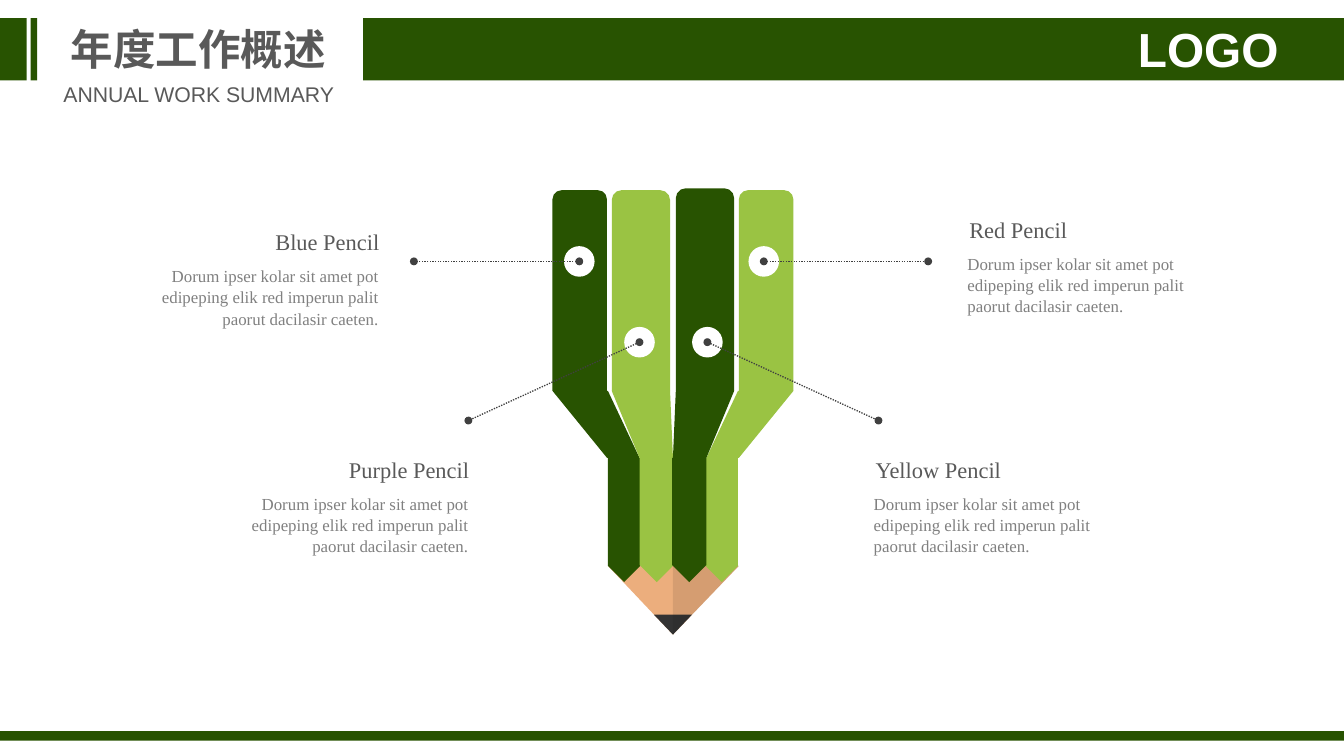
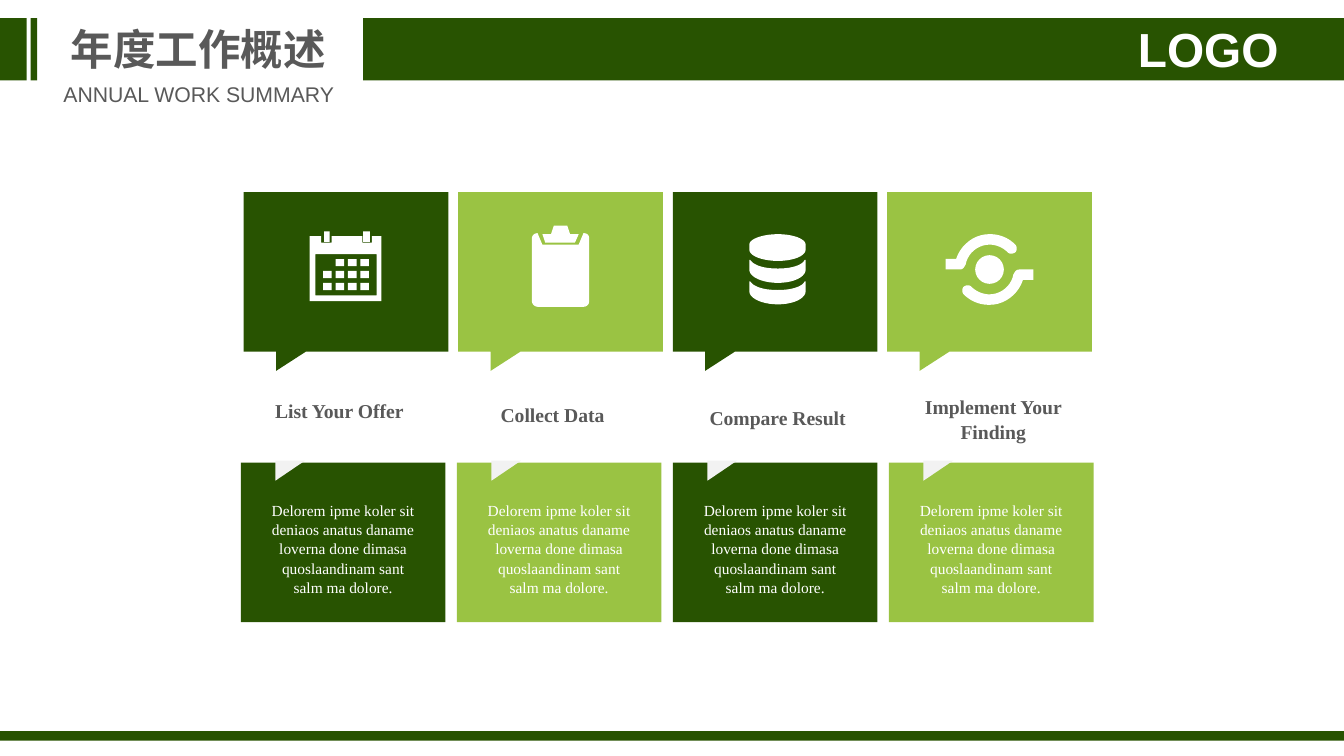
from collections.abc import Callable
from dataclasses import dataclass

from pptx import Presentation
from pptx.dml.color import RGBColor
from pptx.enum.dml import MSO_LINE
from pptx.enum.shapes import MSO_CONNECTOR, MSO_SHAPE as SHAPE
from pptx.enum.text import MSO_ANCHOR as ANCHOR, MSO_AUTO_SIZE, PP_ALIGN as ALIGN
from pptx.oxml.ns import qn
from pptx.slide import Slide
from pptx.util import Emu, Inches, Pt
from lxml.etree import SubElement

# The grid: every position and length below is a number of cells.
CELL = Inches(0.1)
COLS, ROWS = 140.6, 79.1
COLORS = {
    "dark": "285301", "light": "9AC343", "white": "FFFFFF", "notch": "F2F2F2",
    "heading": "595959", "body": "808080", "line": "404040",
    "wood": "ECAE7D", "lead": "333333", "shade": "0D0D0D",
}
SANS, SERIF = "Arial", "Times New Roman"
INSET = (1, 0.5)

Path = list[tuple[float, ...]]  # 2 numbers: a line to a point; 6: a Bezier curve


@dataclass(frozen=True)
class Style:
    size: float
    color: str
    font: str = SERIF
    bold: bool = False
    spacing: float = 1.0


TITLE = Style(32, "heading", SANS, True)
SUBTITLE = Style(16, "heading", SANS)
LOGO = Style(36, "white", SANS, True)
PENCIL_HEAD = Style(16.9, "heading")
PENCIL_BODY = Style(12.7, "body", spacing=1.05)
STEP_HEAD = Style(14.8, "heading", bold=True, spacing=1.05)
STEP_BODY = Style(11.6, "white", spacing=1.05)


def cells(n: float) -> Emu:
    return Emu(round(n * CELL))


def rgb(name: str) -> RGBColor:
    return RGBColor.from_string(COLORS[name])


def paint(shape, color: str) -> None:
    shape.shadow.inherit = False
    shape.fill.solid()
    shape.fill.fore_color.rgb = rgb(color)
    shape.line.fill.background()


def block(s: Slide, kind: SHAPE, box: tuple[float, ...], color: str):
    shape = s.shapes.add_shape(kind, *map(cells, box))
    paint(shape, color)
    return shape


def write(shape, lines: list[str], style: Style, align=ALIGN.CENTER,
          anchor=ANCHOR.TOP, inset=INSET, wrap: bool = True) -> None:
    tf = shape.text_frame
    tf.auto_size = MSO_AUTO_SIZE.NONE
    tf.word_wrap = wrap
    tf.vertical_anchor = anchor
    tf.margin_left = tf.margin_right = cells(inset[0])
    tf.margin_top = tf.margin_bottom = cells(inset[1])
    for i, line in enumerate(lines):
        p = tf.paragraphs[0] if i == 0 else tf.add_paragraph()
        p.text = line
        p.alignment = align
        p.line_spacing = style.spacing
        p.font.name, p.font.size, p.font.bold = style.font, Pt(style.size), style.bold
        p.font.color.rgb = rgb(style.color)


def label(s: Slide, box: tuple[float, ...], lines: list[str], style: Style, **layout) -> None:
    write(s.shapes.add_textbox(*map(cells, box)), lines, style, **layout)


def flatten(path: Path, pieces: int = 10) -> list[tuple[float, float]]:
    """Turn the curves of a path into short straight pieces."""
    points = [path[0]]
    for step in path[1:]:
        if len(step) == 2:
            points.append(step)
            continue
        knots = [points[-1], step[:2], step[2:4], step[4:]]
        for i in range(1, pieces + 1):
            t = i / pieces
            weights = ((1 - t) ** 3, 3 * t * (1 - t) ** 2, 3 * t * t * (1 - t), t ** 3)
            points.append(tuple(sum(w * k[axis] for w, k in zip(weights, knots))
                                for axis in (0, 1)))
    return points


def outline(s: Slide, paths: list[Path], color: str, left: float = 0, top: float = 0):
    """Draw closed paths, measured from (left, top), as one filled shape."""
    contours = [[(cells(left + x), cells(top + y)) for x, y in flatten(path)]
                for path in paths]
    builder = s.shapes.build_freeform(*contours[0][0], scale=1.0)
    for i, (start, *rest) in enumerate(contours):
        if i:
            builder.move_to(*start)
        builder.add_line_segments(rest, close=True)
    shape = builder.convert_to_shape()
    paint(shape, color)
    return shape


def new_slide(prs) -> Slide:
    """Add a slide with the bands, title, subtitle and logo that all slides share."""
    s = prs.slides.add_slide(prs.slide_layouts[5])
    for box in ((38, 1.9, COLS - 38, 6.5), (0, 1.9, 2.8, 6.5),
                (3.2, 1.9, 0.7, 6.5), (0, 76.5, COLS, 1)):
        block(s, SHAPE.RECTANGLE, box, "dark")
    title = s.shapes.title
    title.left, title.top, title.width, title.height = map(cells, (6.3, 1.9, 28.9, 6.4))
    write(title, ["年度工作概述"], TITLE, wrap=False)
    label(s, (116, 2.1, 20.8, 6.1), ["LOGO"], LOGO, inset=(0, 0))
    label(s, (5.5, 8, 30.6, 3.7), ["ANNUAL WORK SUMMARY"], SUBTITLE, wrap=False)
    return s


# Pencil slide

AXIS = 70.4
NECK_TOP, NECK_END, STEM_LENGTH = 40.9, 47.9, 13
PENCIL_TEXT = ("Dorum ipser kolar sit amet pot edipeping elik red imperun palit "
               "paorut dacilasir caeten.")


@dataclass(frozen=True)
class Strip:
    """One strip of the pencil's left half; the right half mirrors it."""
    left: float
    width: float
    stem_center: float
    stem_width: float
    neck: tuple[float, float, float, float]
    colors: tuple[str, str]
    tops: tuple[float, float]


@dataclass(frozen=True)
class Callout:
    name: str
    dot: tuple[float, float]
    end: tuple[float, float]
    text_edge: float
    text_top: float
    align: ALIGN


STRIPS = [
    Strip(57.8, 5.7, 65.3, 3.4, (57.8, 63.5, 66.9, 63.6), ("dark", "light"), (19.9, 19.9)),
    Strip(64, 6.1, 68.7, 3.6, (64, 66.9, 70.4, 70.1), ("light", "dark"), (19.9, 19.7)),
]
CALLOUTS = [
    Callout("Blue Pencil", (60.6, 27.35), (43.3, 27.35), 39.6, 23.8, ALIGN.RIGHT),
    Callout("Purple Pencil", (66.9, 35.8), (49, 44), 49, 47.6, ALIGN.RIGHT),
    Callout("Red Pencil", (79.9, 27.35), (97.1, 27.35), 101.2, 22.5, ALIGN.LEFT),
    Callout("Yellow Pencil", (74, 35.8), (91.9, 44), 91.4, 47.6, ALIGN.LEFT),
]


def draw_strip(s: Slide, strip: Strip, side: int) -> None:
    """Draw barrel, neck and stem; side 0 is the left half, 1 the mirrored right."""
    def mirror(x: float) -> float:
        return 2 * AXIS - x if side else x

    color, top = strip.colors[side], strip.tops[side]
    left = mirror(strip.left + strip.width * side)
    stem = block(s, SHAPE.PENTAGON,
                 (mirror(strip.stem_center) - STEM_LENGTH / 2,
                  NECK_END + (STEM_LENGTH - strip.stem_width) / 2,
                  STEM_LENGTH, strip.stem_width), color)
    stem.rotation = 90
    block(s, SHAPE.ROUND_2_SAME_RECTANGLE, (left, top, strip.width, NECK_TOP - top), color)
    rows = (NECK_TOP, NECK_END, NECK_END, NECK_TOP)
    outline(s, [[(mirror(x), y) for x, y in zip(strip.neck, rows)]], color)


def draw_pencil(s: Slide) -> None:
    tip = (AXIS, 66.4)
    outline(s, [[tip, (63.6, 59.2), (77.3, 59.2)]], "wood")
    outline(s, [[tip, (72.4, 64.3), (68.4, 64.3)]], "lead")
    shade = outline(s, [[tip, (77.3, 59.2), (AXIS, 59.2)]], "shade")
    shade_color = shade.fill._xPr.find(f"{qn('a:solidFill')}/{qn('a:srgbClr')}")
    SubElement(shade_color, qn("a:alpha"), val="10000")
    for side in (0, 1):
        for strip in STRIPS:
            draw_strip(s, strip, side)


def draw_callout(s: Slide, c: Callout) -> None:
    x, y = c.dot
    block(s, SHAPE.OVAL, (x - 1.6, y - 1.6, 3.2, 3.2), "white")
    leader = s.shapes.add_connector(MSO_CONNECTOR.STRAIGHT, *map(cells, c.dot + c.end))
    leader.line.color.rgb = rgb("line")
    leader.line.width = Pt(1)
    leader.line.dash_style = MSO_LINE.ROUND_DOT
    ln = leader.line._get_or_add_ln()
    for end in ("a:headEnd", "a:tailEnd"):
        SubElement(ln, qn(end), type="oval")
    SubElement(leader._element.spPr, qn("a:effectLst"))

    on_right = c.align == ALIGN.LEFT
    head_left = c.text_edge - (0.9 if on_right else 22)
    body_left = c.text_edge - (0 if on_right else 26.8)
    label(s, (head_left, c.text_top, 23.2, 3), [c.name], PENCIL_HEAD,
          align=c.align, anchor=ANCHOR.MIDDLE, inset=(1.1, 0.5))
    label(s, (body_left, c.text_top + 3.9, 26.8, 6.4), [PENCIL_TEXT], PENCIL_BODY,
          align=c.align, inset=(0, 0))


# Steps slide

CARD_LEFT, CARD_TOP, CARD_PITCH, CARD_WIDTH = 25.5, 20.1, 22.44, 21.4
PANEL_LEFT, PANEL_TOP, PANEL_PITCH = 25.2, 48.4, 22.6
CARD: Path = [(0, 0), (CARD_WIDTH, 0), (CARD_WIDTH, 16.7), (6.5, 16.7),
              (3.4, 18.7), (3.4, 16.7), (0, 16.7)]
NOTCH: Path = [(0, 0), (0, 2.1), (3.1, 0)]
STEP_TEXT = ["Delorem ipme koler sit deniaos anatus daname loverna done dimasa "
             "quoslaandinam sant", "salm ma dolore."]


def calendar(s: Slide, left: float, top: float) -> None:
    frame = [(6.9, 4.6), (8.1, 4.6), (8.1, 5.3), (9.2, 5.3), (9.2, 4.6), (12.4, 4.6),
             (12.4, 5.3), (13.4, 5.3), (13.4, 4.6), (14.4, 4.6), (14.4, 11.4), (6.9, 11.4)]
    window = [(7.5, 6.5), (7.5, 10.8), (13.9, 10.8), (13.9, 6.5)]
    outline(s, [frame, window], "white", left, top)
    days = [(8.3 + 1.3 * col, 7 + 1.25 * row, 0.9, 0.75)
            for row in range(3) for col in range(4) if row or col]
    for x, y, w, h in days + [(8.4, 4.1, 0.6, 1.1), (12.5, 4.1, 0.7, 1.1)]:
        block(s, SHAPE.RECTANGLE, (left + x, top + y, w, h), "white")


def clipboard(s: Slide, left: float, top: float) -> None:
    board = [(13.1, 4.3), (12.6, 5.5), (8.8, 5.5), (8.3, 4.3),
             (8, 4.3, 7.7, 4.5, 7.7, 4.9), (7.7, 11.4),
             (7.7, 11.7, 8, 12, 8.3, 12), (13.1, 12),
             (13.5, 12, 13.7, 11.7, 13.7, 11.4), (13.7, 4.9),
             (13.7, 4.5, 13.5, 4.3, 13.1, 4.3)]
    clip = [(12.2, 5.3), (12.6, 4.4), (11.7, 4.4), (11.4, 3.5),
            (10, 3.5), (9.7, 4.4), (8.8, 4.4), (9.1, 5.3)]
    for path in (board, clip):
        outline(s, [path], "white", left, top)


def database(s: Slide, left: float, top: float) -> None:
    disc = [(11, 4.4), (9.4, 4.4, 8, 4.9, 8, 5.5), (8, 6), (8, 6.7, 9.4, 7.2, 11, 7.2),
            (12.6, 7.2, 13.9, 6.7, 13.9, 6), (13.9, 5.5), (13.9, 4.9, 12.6, 4.4, 11, 4.4)]
    band = [(13.8, 7.1), (13.5, 7.7, 12.3, 8, 11, 8), (9.6, 8, 8.5, 7.7, 8.1, 7.1),
            (8, 7.1), (8, 8.1), (8, 8.9, 9.4, 9.5, 11, 9.5),
            (12.6, 9.5, 13.9, 8.9, 13.9, 8.1), (13.9, 7.1)]
    outline(s, [disc], "white", left, top)
    for drop in (0, 2.25):
        outline(s, [band], "white", left, top + drop)


def orbit(s: Slide, left: float, top: float) -> None:
    x, y = 10.7, 8.1
    arm = [(13.8, 8.1), (13.4, 8.1, 13.3, 8.5, 13.2, 8.6), (13, 9.8, 11.9, 10.7, 10.7, 10.7),
           (10, 10.7, 9.3, 10.4, 8.8, 9.9), (8.6, 9.7, 8.3, 9.7, 8, 9.9),
           (7.8, 10.1, 7.8, 10.5, 8, 10.7), (8.7, 11.4, 9.6, 11.8, 10.7, 11.8),
           (12.3, 11.8, 13.7, 10.7, 14.2, 9.2), (15.3, 9.2), (15.3, 8.1)]
    turned = [tuple(2 * (y if i % 2 else x) - n for i, n in enumerate(step)) for step in arm]
    for path in (arm, turned):
        outline(s, [path], "white", left, top)
    block(s, SHAPE.OVAL, (left + x - 1.5, top + y - 1.5, 3, 3), "white")


@dataclass(frozen=True)
class Step:
    name: str
    color: str
    icon: Callable[[Slide, float, float], None]
    name_center: float
    name_top: float


STEPS = [
    Step("List Your Offer", "dark", calendar, 35.5, 40.5),
    Step("Collect Data", "light", clipboard, 57.8, 40.9),
    Step("Compare Result", "dark", database, 81.35, 41.2),
    Step("Implement Your Finding", "light", orbit, 103.9, 41.4),
]


def draw_step(s: Slide, i: int, step: Step) -> None:
    left = CARD_LEFT + i * CARD_PITCH
    outline(s, [CARD], step.color, left, CARD_TOP)
    step.icon(s, left, CARD_TOP)
    label(s, (step.name_center - 10.9, step.name_top, 21.8, 4.8), [step.name], STEP_HEAD,
          anchor=ANCHOR.MIDDLE, inset=(1.1, 0.5))
    left = PANEL_LEFT + i * PANEL_PITCH
    block(s, SHAPE.RECTANGLE, (left, PANEL_TOP, CARD_WIDTH, 16.7), step.color)
    outline(s, [NOTCH], "notch", left + 3.6, PANEL_TOP - 0.2)
    label(s, (left + 0.3, PANEL_TOP + 3.4, 20.8, 10.8), STEP_TEXT, STEP_BODY)


def main() -> None:
    prs = Presentation()
    prs.slide_width, prs.slide_height = cells(COLS), cells(ROWS)
    s = new_slide(prs)
    draw_pencil(s)
    for callout in CALLOUTS:
        draw_callout(s, callout)
    s = new_slide(prs)
    for i, step in enumerate(STEPS):
        draw_step(s, i, step)
    prs.save("out.pptx")


if __name__ == "__main__":
    main()
